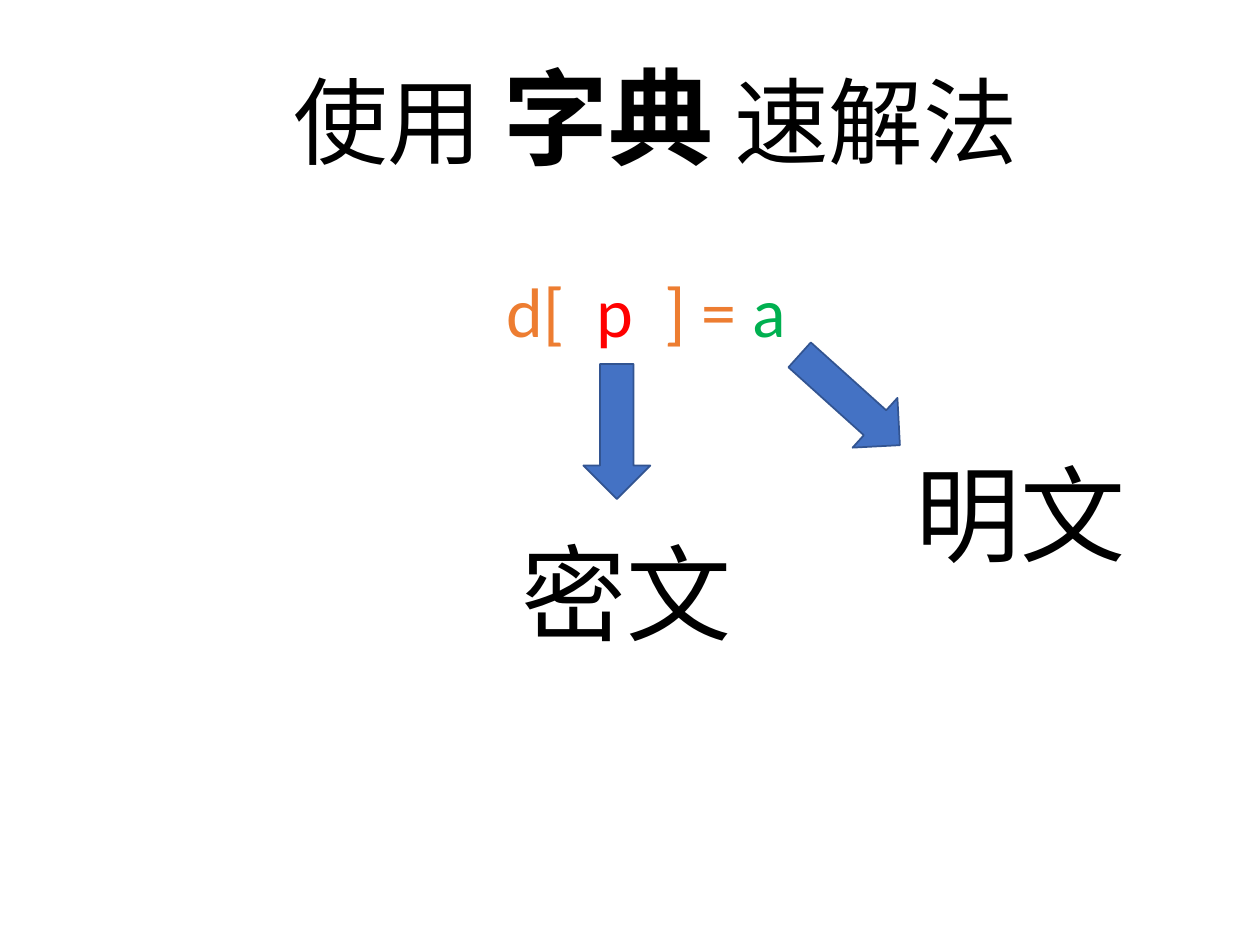
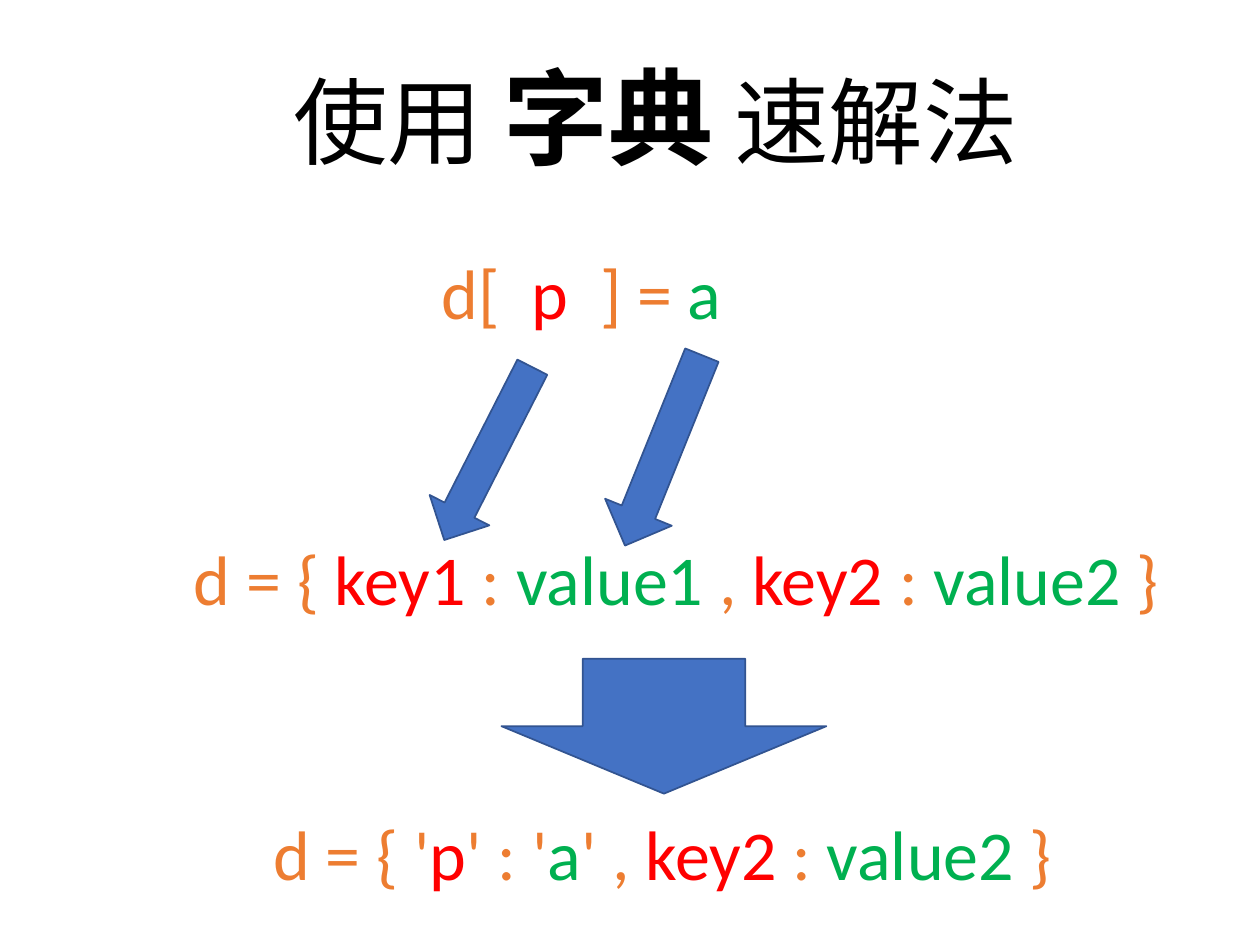
import pptx
import pptx.util
import pptx.dml.color
import pptx.enum.shapes
import pptx.enum.text

Cm = pptx.util.Cm
Pt = pptx.util.Pt
RGBColor = pptx.dml.color.RGBColor
Shapes = pptx.enum.shapes.MSO_SHAPE

BLACK = RGBColor(0x00, 0x00, 0x00)
ORANGE = RGBColor(0xED, 0x7D, 0x31)
RED = RGBColor(0xFF, 0x00, 0x00)
GREEN = RGBColor(0x00, 0xB0, 0x50)
BLUE = RGBColor(0x44, 0x72, 0xC4)
DARK_BLUE = RGBColor(0x32, 0x54, 0x91)

FONT = "Calibri"
CODE_SIZE = 40
LABEL_SIZE = 60
CODE_HEIGHT = 1.96
LABEL_HEIGHT = 2.82

ASSIGNMENT = [("d[\u00a0 ", ORANGE), ("p", RED), ("\u00a0\u00a0] = ", ORANGE), ("a", GREEN)]
SECOND_PAIR = [("key2\u00a0", RED), (":\u00a0", ORANGE), ("value2\u00a0", GREEN), ("}", ORANGE)]
GENERIC_DICTIONARY = [
    ("d\u00a0=\u00a0{\u00a0", ORANGE), ("key1\u00a0", RED), (":\u00a0", ORANGE),
    ("value1\u00a0", GREEN), (",\u00a0", ORANGE),
] + SECOND_PAIR
FILLED_DICTIONARY = [
    ("d\u00a0=\u00a0{ '", ORANGE), ("p", RED), ("'\u00a0:\u00a0'", ORANGE),
    ("a", GREEN), ("'\u00a0,\u00a0", ORANGE),
] + SECOND_PAIR


def add_run(paragraph, text, *, size, color=BLACK, bold=False):
    run = paragraph.add_run()
    run.text = text
    run.font.name = FONT
    run.font.size = Pt(size)
    run.font.bold = bold
    run.font.color.rgb = color


def add_text_line(slide, left, top, width, height):
    box = slide.shapes.add_textbox(Cm(left), Cm(top), Cm(width), Cm(height))
    frame = box.text_frame
    frame.word_wrap = True
    frame.auto_size = pptx.enum.text.MSO_AUTO_SIZE.SHAPE_TO_FIT_TEXT
    return frame.paragraphs[0]


def add_title(slide):
    paragraph = add_text_line(slide, 5.66, 0.94, 15.49, LABEL_HEIGHT)
    add_run(paragraph, "使用 ", size=54)
    add_run(paragraph, "字典", size=60, bold=True)
    add_run(paragraph, " 速解法", size=54)


def add_code(slide, pieces, left, top, width):
    paragraph = add_text_line(slide, left, top, width, CODE_HEIGHT)
    for text, color in pieces:
        add_run(paragraph, text, size=CODE_SIZE, color=color)


def add_label(slide, text, left, top):
    paragraph = add_text_line(slide, left, top, 5.13, LABEL_HEIGHT)
    add_run(paragraph, text, size=LABEL_SIZE)


def add_arrow(slide, left, top, width, height, rotation=0, preset=Shapes.DOWN_ARROW):
    arrow = slide.shapes.add_shape(preset, Cm(left), Cm(top), Cm(width), Cm(height))
    arrow.rotation = rotation
    arrow.shadow.inherit = False
    arrow.fill.solid()
    arrow.fill.fore_color.rgb = BLUE
    arrow.line.color.rgb = DARK_BLUE
    arrow.line.width = Pt(1)


def add_titled_slide(presentation):
    slide = presentation.slides.add_slide(presentation.slide_layouts[6])
    add_title(slide)
    return slide


def build_meaning_slide(presentation):
    slide = add_titled_slide(presentation)
    add_code(slide, ASSIGNMENT, 9.96, 5.26, 6.5)
    add_arrow(slide, 11.76, 7.34, 1.35, 2.72)
    add_label(slide, "密文", 10.26, 10.52)
    add_arrow(slide, 15.77, 7.39, 2.72, 1.35, rotation=42, preset=Shapes.RIGHT_ARROW)
    add_label(slide, "明文", 18.21, 8.94)


def build_dictionary_slide(presentation):
    slide = add_titled_slide(presentation)
    add_code(slide, ASSIGNMENT, 8.66, 4.9, 10.62)
    add_code(slide, GENERIC_DICTIONARY, 3.66, 10.67, 20.68)
    add_arrow(slide, 9.17, 7.19, 1.35, 3.91, rotation=27)
    add_arrow(slide, 12.65, 7.01, 1.45, 4.14, rotation=22)
    add_code(slide, FILLED_DICTIONARY, 5.26, 16.21, 20.68)
    add_arrow(slide, 10.11, 13.28, 6.55, 2.72)


def main():
    presentation = pptx.Presentation()
    presentation.slide_width = Cm(25.4)
    presentation.slide_height = Cm(19.05)
    build_meaning_slide(presentation)
    build_dictionary_slide(presentation)
    presentation.save("out.pptx")


main()
